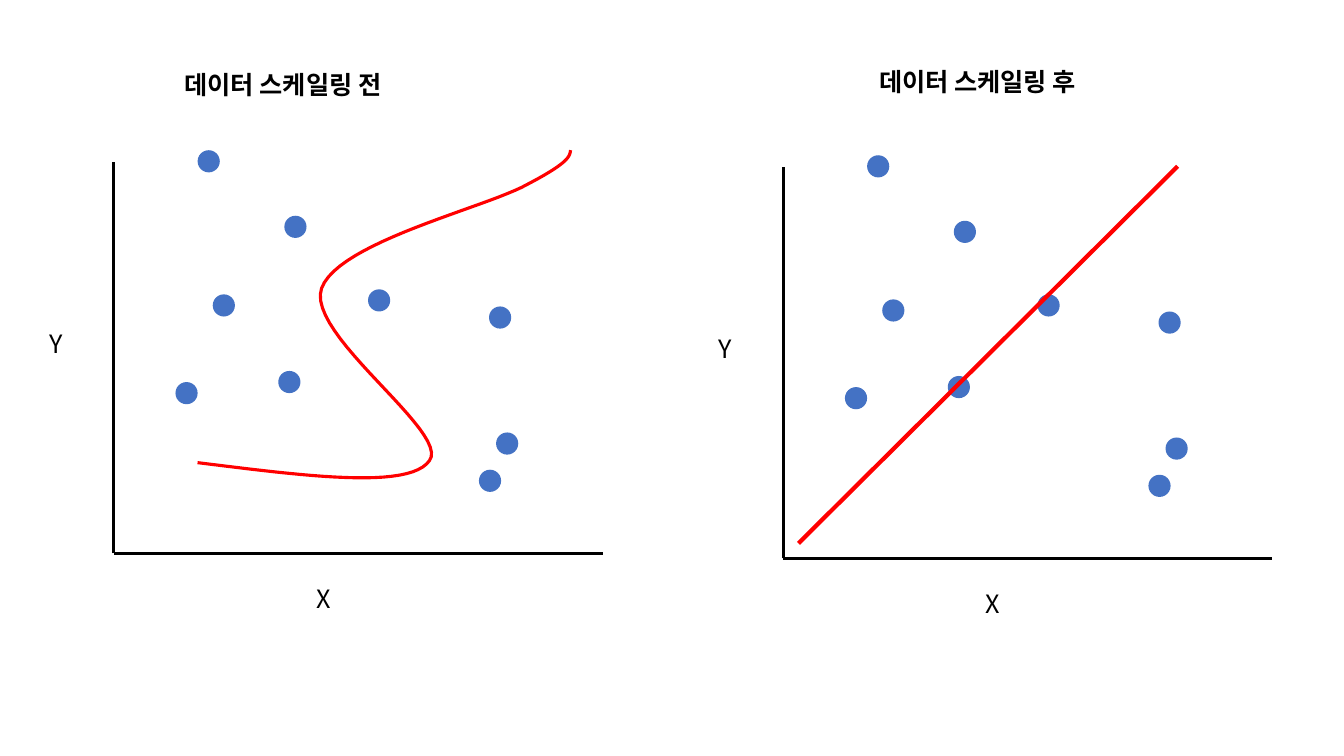
from lxml.etree import SubElement
from pptx import Presentation
from pptx.dml.color import RGBColor
from pptx.enum.shapes import MSO_CONNECTOR as Connector, MSO_SHAPE as Shape
from pptx.enum.text import MSO_AUTO_SIZE as AutoSize
from pptx.oxml.ns import qn
from pptx.util import Inches, Pt

BLACK = RGBColor(0x00, 0x00, 0x00)
RED = RGBColor(0xFF, 0x00, 0x00)
BLUE = RGBColor(0x44, 0x72, 0xC4)
FONT = "Noto Sans CJK KR"
COLUMNS, ROWS = 133.3, 75
DOT = 2.2
TEXT_HEIGHT = 4

# Plot data: columns right of and rows above the plot's origin
X_LENGTH, Y_LENGTH = 48.5, 38.8
SAMPLES = [(9.4, 38.9), (10.9, 24.6), (38.3, 23.4), (39, 10.9), (37.3, 7.2),
           (7.2, 15.9), (17.4, 17), (18, 32.4), (26.3, 25.1)]
CURVE_START = (8.3, 9)
CURVE = [((18.8, 7.7), (29.3, 6.3), (31.3, 9.2)),
         ((33.4, 12), (19, 21.7), (20.6, 26.3)),
         ((22.3, 30.9), (36.9, 34.3), (41, 36.6)),
         ((45.2, 38.8), (45.2, 39.4), (45.3, 40))]
STRAIGHT = ((1.5, 1.5), (39.1, 38.9))


def curve_points(start, segments, steps=24):
    """Points along a chain of cubic Bézier segments."""
    points = [start]
    for control_a, control_b, end in segments:
        for step in range(1, steps + 1):
            t = step / steps
            weights = ((1 - t) ** 3, 3 * t * (1 - t) ** 2, 3 * t * t * (1 - t), t ** 3)
            corners = (start, control_a, control_b, end)
            points.append(tuple(sum(w * c[axis] for w, c in zip(weights, corners))
                                for axis in (0, 1)))
        start = end
    return points


class Canvas:
    """Draws on the current slide, or on a plot group with its own origin."""

    def __init__(self, deck):
        self.slide = deck.slides.add_slide(deck.slide_layouts[6])
        self.column = deck.slide_width / COLUMNS
        self.row = deck.slide_height / ROWS
        self.shapes = self.slide.shapes

    def start_plot(self, left, bottom):
        self.shapes = self.slide.shapes.add_group_shape().shapes
        self.origin = left, bottom

    def end_plot(self):
        self.shapes = self.slide.shapes

    def place(self, column, row):
        return round(column * self.column), round(row * self.row)

    def plot_place(self, x, y):
        left, bottom = self.origin
        return self.place(left + x, bottom - y)

    def text(self, words, left, top, width, bold=False):
        box = self.shapes.add_textbox(*self.place(left, top),
                                      *self.place(width, TEXT_HEIGHT))
        frame = box.text_frame
        frame.word_wrap = False
        frame.auto_size = AutoSize.SHAPE_TO_FIT_TEXT
        run = frame.paragraphs[0].add_run()
        run.text = words
        for key, value in {"name": FONT, "size": Pt(18), "bold": bold}.items():
            setattr(run.font, key, value)
        run.font.color.rgb = BLACK
        SubElement(run.font._element, qn("a:ea"), typeface=FONT)

    def stroke(self, shape, color, width):
        shape.line.color.rgb = color
        shape.line.width = Pt(width)

    def line(self, start, end, color=BLACK, width=2.25):
        link = self.shapes.add_connector(
            Connector.STRAIGHT, *self.plot_place(*start), *self.plot_place(*end))
        self.stroke(link, color, width)
        SubElement(link._element.spPr, qn("a:effectLst"))

    def curve(self, points, color=RED, width=2.25):
        first, *rest = [self.plot_place(*point) for point in points]
        builder = self.shapes.build_freeform(*first)
        builder.add_line_segments(rest, close=False)
        outline = builder.convert_to_shape()
        outline.fill.background()
        outline.shadow.inherit = False
        self.stroke(outline, color, width)

    def dot(self, x, y):
        dot = self.shapes.add_shape(
            Shape.OVAL, *self.plot_place(x - DOT / 2, y + DOT / 2),
            *self.place(DOT, DOT))
        dot.fill.solid()
        dot.fill.fore_color.rgb = BLUE
        dot.line.fill.background()
        dot.shadow.inherit = False

    def axes(self):
        left, bottom = self.origin
        self.line((0, 0), (X_LENGTH, 0))
        self.line((0, 0), (0, Y_LENGTH))
        self.text("X", left + 19.1, bottom + 2.45, 3.5)
        self.text("Y", left - 7.4, bottom - 22.8, 3.4)

    def samples(self):
        for sample in SAMPLES:
            self.dot(*sample)


def main():
    deck = Presentation()
    deck.slide_width, deck.slide_height = Inches(13.33), Inches(7.5)
    canvas = Canvas(deck)

    # Before scaling: curved boundary behind the samples
    canvas.start_plot(11.3, 54.9)
    canvas.axes()
    canvas.curve(curve_points(CURVE_START, CURVE))
    canvas.samples()

    # After scaling: straight boundary over the samples
    canvas.start_plot(77.7, 55.4)
    canvas.axes()
    canvas.samples()
    canvas.line(*STRAIGHT, color=RED, width=3)
    canvas.end_plot()

    # Plot headings
    canvas.text("데이터 스케일링 전", 17.3, 6.4, 24.9, bold=True)
    canvas.text("데이터 스케일링 후", 86.2, 6.1, 24.9, bold=True)

    deck.save("out.pptx")


if __name__ == "__main__":
    main()
